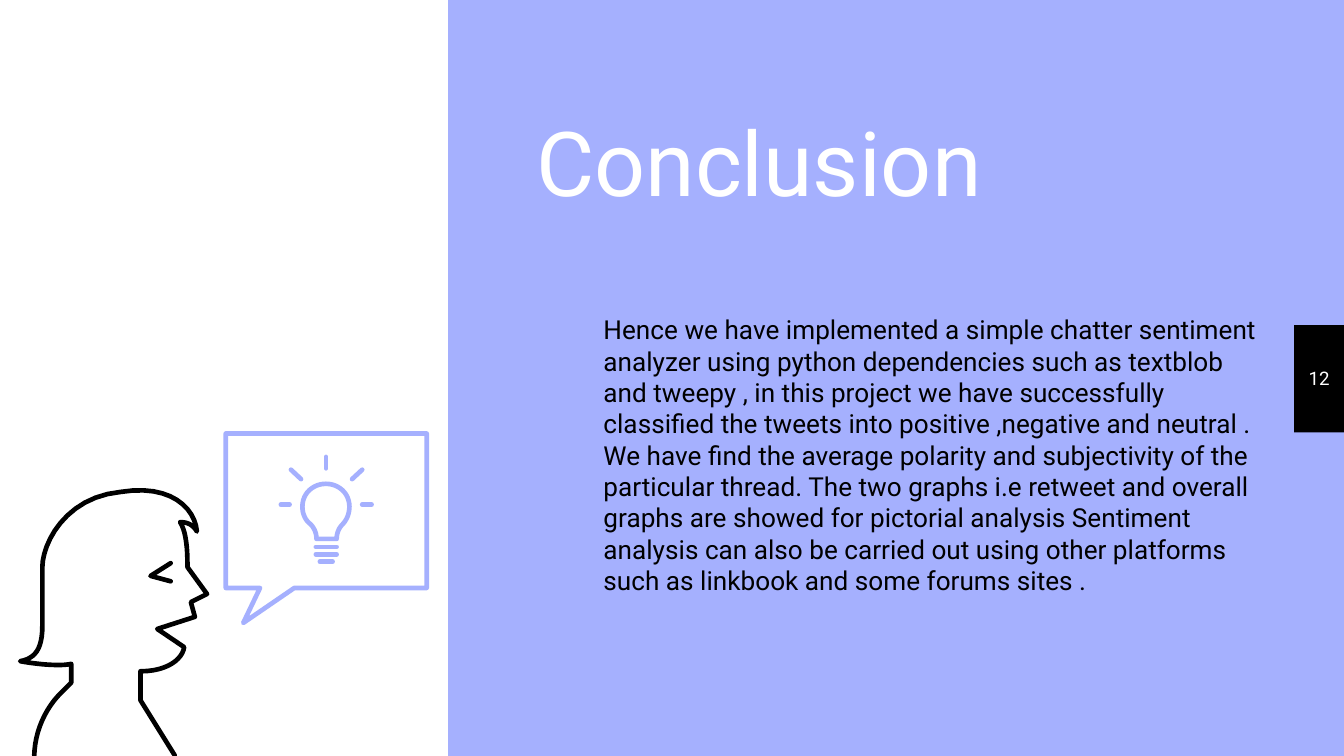
from lxml.etree import SubElement
from pptx import Presentation
from pptx.dml.color import RGBColor
from pptx.enum.shapes import MSO_CONNECTOR, MSO_SHAPE
from pptx.enum.text import MSO_ANCHOR, MSO_AUTO_SIZE, PP_ALIGN
from pptx.oxml.ns import qn
from pptx.util import Inches, Pt

BLUE, BLACK, WHITE = "A5B0FE", "000000", "FFFFFF"


def tint(color, code):
    color.rgb = RGBColor.from_string(code)


def pen(shape, code):
    """Give a shape or line a round, shadowless stroke."""
    tint(shape.line.color, code)
    shape.line.width = Pt(2.5)
    props = shape._element.spPr
    line = props.find(qn("a:ln"))
    line.set("cap", "rnd")
    SubElement(line, qn("a:round"))
    SubElement(props, qn("a:effectLst"))


deck = Presentation()
deck.slide_width, deck.slide_height = Inches(10), Inches(5.625)
W, H = deck.slide_width, deck.slide_height
unit = W / 1000  # drawing step
slide = deck.slides.add_slide(deck.slide_layouts[0])
shapes = slide.shapes

# Background, left panel and page tab
slide.background.fill.solid()
tint(slide.background.fill.fore_color, BLUE)
for x, y, w, h, code in [(0, 0, 1 / 3, 1, WHITE), (0.963, 0.43, 0.037, 0.142, BLACK)]:
    panel = shapes.add_shape(MSO_SHAPE.RECTANGLE, int(x * W), int(y * H), int(w * W), int(h * H))
    panel.fill.solid()
    tint(panel.fill.fore_color, code)
    panel.line.fill.background()
    panel.shadow.inherit = False

# Title, body and page number
story = (
    "Hence we have implemented a simple chatter sentiment analyzer using python "
    "dependencies such as textblob and tweepy , in this project we have successfully "
    "classified the tweets into positive ,negative and neutral . We have find the "
    "average polarity and subjectivity of the particular thread. The two graphs i.e "
    "retweet and overall graphs are showed for pictorial analysis Sentiment analysis "
    "can also be carried out using other platforms such as linkbook and some forums sites ."
)
title, body = slide.placeholders
page = shapes.add_textbox(0, 0, W, H)
left, mid = PP_ALIGN.LEFT, PP_ALIGN.CENTER
texts = [
    (title, (0.389, 0.127, 0.536, 0.174), "Conclusion", 48, WHITE, left, MSO_ANCHOR.BOTTOM),
    (body, (0.389, 0.397, 0.561, 0.43), story, 14, BLACK, left, MSO_ANCHOR.TOP),
    (page, (0.963, 0.429, 0.037, 0.142), "12", 10, WHITE, mid, MSO_ANCHOR.MIDDLE),
]
for box, (x, y, w, h), words, size, code, align, anchor in texts:
    box.left, box.top, box.width, box.height = int(x * W), int(y * H), int(w * W), int(h * H)
    frame = box.text_frame
    frame.word_wrap = True
    frame.auto_size = MSO_AUTO_SIZE.NONE
    frame.vertical_anchor = anchor
    frame.margin_left = frame.margin_right = Inches(0.1)
    frame.margin_top = frame.margin_bottom = Inches(0.1)
    para = frame.paragraphs[0]
    para.alignment = align
    para.line_spacing = 1.0
    para.space_before = Pt(6 if box is body else 0)
    run = para.add_run()
    run.text = words
    run.font.name = "Roboto"
    run.font.size = Pt(size)
    tint(run.font.color, code)
body.text_frame.paragraphs[0]._p.get_or_add_pPr().set("marL", str(Inches(0.5)))

# Outlines: two numbers are a corner, six are a Bezier curve
eye = [(127, 419), (112, 428.5), (127, 432.5)]
head = [
    (25.5, 562), (26, 545, 33, 527, 47, 514), (53, 508), (53, 494),
    (44, 496, 26, 494, 15, 492), (26, 490, 31.5, 483, 31.5, 466), (31.5, 422),
    (31.5, 405, 48, 370, 90, 366), (127, 360, 145, 378, 146.5, 395.5),
    (144, 391, 140, 388.5, 134, 388.5), (138, 395, 139.5, 405, 139.5, 422),
    (154, 442), (142, 448), (145, 459), (117, 468), (137, 481.5),
    (136, 490, 125, 499.5, 104.5, 499.5), (104.5, 521), (130, 562),
]
bubble = [
    (168, 322.5), (317.5, 322.5), (317.5, 437.5), (219, 437.5),
    (181, 463.5), (193.5, 437.5), (168, 437.5),
]
bulb = [
    (235.5, 401), (235.5, 397, 234, 393, 231, 390), (227, 387, 225, 382, 225, 377),
    (225, 367, 233, 360, 242.5, 360), (252, 360, 260, 367, 260, 377),
    (260, 382, 258, 387, 255, 390), (252, 393, 250.5, 397, 250.5, 401),
]
for steps, code, close in [
    (eye, BLACK, False), (head, BLACK, False), (bubble, BLUE, True), (bulb, BLUE, True)
]:
    dots = [steps[0]]
    for step in steps[1:]:
        if len(step) == 2:
            dots.append(step)
            continue
        knots = [dots[-1], step[:2], step[2:4], step[4:]]
        for i in range(1, 13):
            t = i / 12
            share = [(1 - t) ** 3, 3 * t * (1 - t) ** 2, 3 * t * t * (1 - t), t ** 3]
            dots.append(tuple(sum(s * k[n] for s, k in zip(share, knots)) for n in (0, 1)))
    dots = [(x * unit, y * unit) for x, y in dots]
    path = shapes.build_freeform(int(dots[0][0]), int(dots[0][1]))
    path.add_line_segments(dots[1:], close=close)
    form = path.convert_to_shape()
    form.fill.background()
    pen(form, code)

# Bulb base and rays
for x1, y1, x2, y2 in [
    (235, 407, 250.5, 407), (235, 412.5, 250.5, 412.5), (238, 418, 247.5, 418),
    (242.5, 340, 242.5, 348.5), (209, 375.5, 215.5, 375.5), (269.5, 375.5, 276.5, 375.5),
    (262, 356.5, 269.5, 349.5), (224, 356.5, 216.5, 349.5),
]:
    ray = shapes.add_connector(
        MSO_CONNECTOR.STRAIGHT, int(x1 * unit), int(y1 * unit), int(x2 * unit), int(y2 * unit)
    )
    pen(ray, BLUE)

deck.save("out.pptx")
